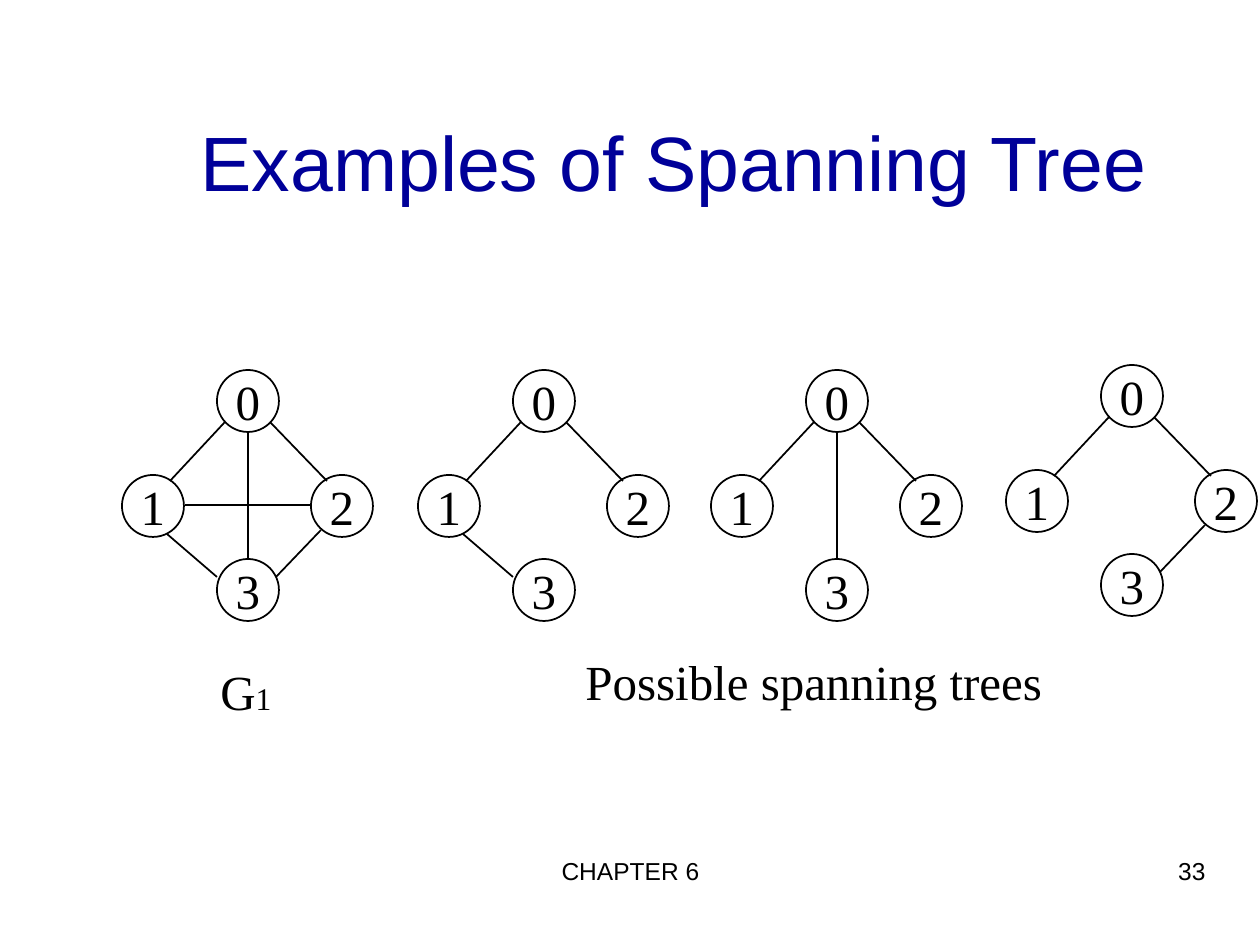
from lxml.etree import SubElement
from pptx import Presentation
from pptx.dml.color import RGBColor
from pptx.enum.shapes import MSO_CONNECTOR as Connector, MSO_SHAPE as Shape
from pptx.enum.text import MSO_ANCHOR as Anchor, MSO_AUTO_SIZE as AutoSize, PP_ALIGN as Align
from pptx.oxml.ns import qn
from pptx.util import Inches, Pt

PX_PER_INCH = 126
BLACK = RGBColor(0x00, 0x00, 0x00)
WHITE = RGBColor(0xFF, 0xFF, 0xFF)
NAVY = RGBColor(0x00, 0x00, 0x99)
SANS, SERIF = "Arial", "Times New Roman"

TITLE_ONLY = 5
NODE_SIZE = 62
# Positions within one graph, measured from its top left corner
NODES = {0: (95, 0), 1: (0, 105), 2: (189, 105), 3: (95, 189)}
EDGES = {
    (0, 3): (126, 62, 126, 188),
    (1, 2): (63, 135, 189, 135),
    (0, 1): (103, 52, 48, 111),
    (0, 2): (148, 52, 205, 111),
    (1, 3): (45, 164, 95, 207),
    (2, 3): (199, 160, 154, 207),
}
GRAPHS = [
    (122, 370, list(EDGES)),
    (418, 370, [(0, 1), (0, 2), (1, 3)]),
    (711, 370, [(0, 3), (0, 1), (0, 2)]),
    (1006, 365, [(0, 1), (0, 2), (2, 3)]),
]


def px(*lengths):
    return [Inches(length / PX_PER_INCH) for length in lengths]


class SlideBuilder:
    """Draws styled elements on one slide, with lengths in px."""

    def __init__(self, slide):
        self.slide = slide
        self.shapes = slide.shapes

    def style(self, paragraph, font_name, size, color=BLACK, align=Align.LEFT):
        paragraph.alignment = align
        font = paragraph.font
        font.name, font.size, font.color.rgb = font_name, Pt(size), color

    def title(self, text, left, top, width, height):
        title = self.shapes.title
        title.left, title.top, title.width, title.height = px(left, top, width, height)
        frame = title.text_frame
        frame.text = text
        frame.vertical_anchor = Anchor.MIDDLE
        self.style(frame.paragraphs[0], SANS, 44, NAVY, Align.CENTER)

    def footer(self, text, left, width, align):
        frame = self.shapes.add_textbox(*px(left, 850, width, 66)).text_frame
        frame.word_wrap = True
        frame.text = text
        self.style(frame.paragraphs[0], SANS, 14, align=align)

    def caption(self, text, left, top, width, subscript=""):
        frame = self.shapes.add_textbox(*px(left, top, width, 72)).text_frame
        frame.word_wrap = False
        frame.auto_size = AutoSize.SHAPE_TO_FIT_TEXT
        frame.text = text
        paragraph = frame.paragraphs[0]
        self.style(paragraph, SERIF, 28)
        if subscript:
            run = paragraph.add_run()
            run.text = subscript
            run.font.size = Pt(18)

    def node(self, label, left, top):
        circle = self.shapes.add_shape(Shape.OVAL, *px(left, top, NODE_SIZE, NODE_SIZE))
        circle.shadow.inherit = False
        circle.fill.solid()
        circle.fill.fore_color.rgb = WHITE
        circle.line.color.rgb = BLACK
        circle.line.width = Pt(1)
        frame = circle.text_frame
        frame.word_wrap = False
        frame.vertical_anchor = Anchor.MIDDLE
        frame.text = str(label)
        self.style(frame.paragraphs[0], SERIF, 28, align=Align.CENTER)

    def edge(self, x1, y1, x2, y2):
        line = self.shapes.add_connector(Connector.STRAIGHT, *px(x1, y1, x2, y2))
        line.line.color.rgb = BLACK
        line.line.width = Pt(1)
        SubElement(line._element.spPr, qn("a:effectLst"))

    def graph(self, left, top, edges):
        for label, (x, y) in NODES.items():
            self.node(label, left + x, top + y)
        for ends in edges:
            x1, y1, x2, y2 = EDGES[ends]
            self.edge(left + x1, top + y1, left + x2, top + y2)


def main():
    deck = Presentation()
    deck.slide_width, deck.slide_height = Inches(10), Inches(7.5)
    builder = SlideBuilder(deck.slides.add_slide(deck.slide_layouts[TITLE_ONLY]))

    builder.footer("CHAPTER 6", 431, 399, Align.CENTER)
    builder.footer("33", 903, 315, Align.RIGHT)
    builder.title("Examples of Spanning Tree", 88, 82, 1172, 158)
    for left, top, edges in GRAPHS:
        builder.graph(left, top, edges)
    builder.caption("G", 208, 655, 77, subscript="1")
    builder.caption("Possible spanning trees", 573, 645, 483)

    deck.save("out.pptx")


if __name__ == "__main__":
    main()
